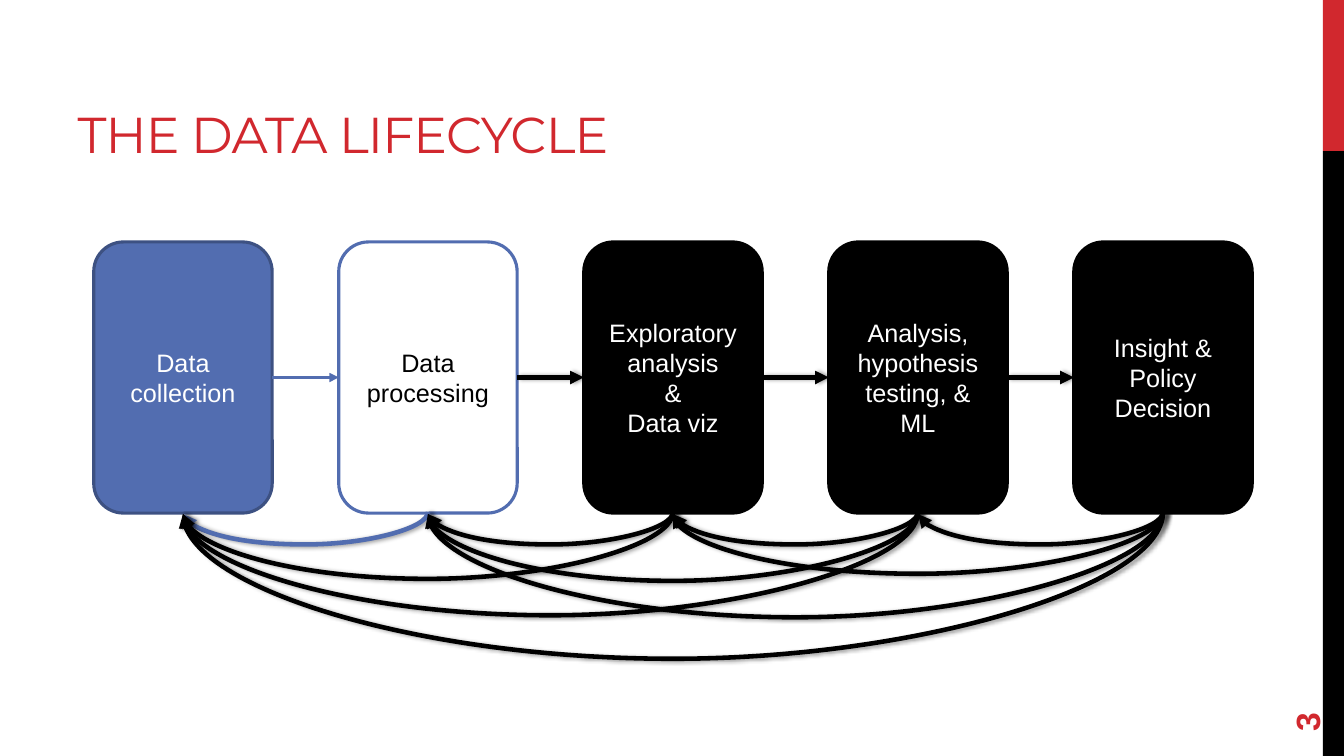
"""Build the data lifecycle slide."""
from dataclasses import dataclass

import lxml.etree
import pptx
import pptx.dml.color
import pptx.enum.shapes
import pptx.enum.text
import pptx.oxml
import pptx.oxml.ns
import pptx.util

Inches = pptx.util.Inches
Pt = pptx.util.Pt
qn = pptx.oxml.ns.qn
Shape = pptx.enum.shapes.MSO_SHAPE
Link = pptx.enum.shapes.MSO_CONNECTOR
Anchor = pptx.enum.text.MSO_ANCHOR
Align = pptx.enum.text.PP_ALIGN

HUES = {"red": "D1282E", "black": "000000", "white": "FFFFFF",
        "blue": "526DB0", "navy": "3D5182"}
LEFT, TOP, WIDE, HIGH, STEP = 0.93, 2.4, 1.77, 2.69, 2.43
BASE, RISE = 5.08, 0.02


@dataclass
class Stage:
    """A step of the cycle."""
    text: str
    fill: str = "black"
    edge: str = "black"
    ink: str = "white"


@dataclass
class Arc:
    """A curve back from one stage to an earlier one."""
    start: int
    end: int
    drop: float = 0.32
    hue: str = "black"


STAGES = [
    Stage("Data collection", "blue", "navy"),
    Stage("Data processing", "white", "blue", "black"),
    Stage("Exploratory analysis\n&\nData viz"),
    Stage("Analysis, hypothesis testing, & ML"),
    Stage("Insight & Policy Decision"),
]
ARCS = [
    Arc(1, 0, hue="blue"),
    Arc(2, 1), Arc(2, 0, 0.66),
    Arc(3, 2), Arc(3, 1, 0.68), Arc(3, 0, 1.02),
    Arc(4, 3), Arc(4, 2, 0.61), Arc(4, 1, 1.04), Arc(4, 0, 1.45),
]


def tint(hue: str) -> pptx.dml.color.RGBColor:
    """Return a named colour."""
    return pptx.dml.color.RGBColor.from_string(HUES[hue])


def style(frame, size: float, hue: str, face: str = "Arial", bold: bool = False, align=Align.LEFT) -> None:
    """Format all text in a frame."""
    frame.word_wrap = True
    for para in frame.paragraphs:
        para.alignment = align
        for run in para.runs:
            run.font.size = Pt(size)
            run.font.name = face
            run.font.bold = bold
            run.font.color.rgb = tint(hue)


def block(slide, kind, box: tuple, fill: str, edge: str = ""):
    """Draw a filled shape, with an outline if an edge hue is given."""
    shape = slide.shapes.add_shape(kind, *map(Inches, box))
    shape.shadow.inherit = False
    shape.fill.solid()
    shape.fill.fore_color.rgb = tint(fill)
    if edge:
        shape.line.color.rgb = tint(edge)
        shape.line.width = Pt(2.25)
    else:
        shape.line.fill.background()
    return shape


def card(slide, index: int, stage: Stage):
    """Draw one stage box."""
    box = (LEFT + index * STEP, TOP, WIDE, HIGH)
    shape = block(slide, Shape.ROUNDED_RECTANGLE, box, stage.fill, stage.edge)
    frame = shape.text_frame
    frame.text = stage.text
    frame.vertical_anchor = Anchor.MIDDLE
    style(frame, 18, stage.ink, align=Align.CENTER)
    return shape


def finish(link, hue: str, width: float, shade: bool = True) -> None:
    """Give a connector its colour, arrowhead and shadow."""
    link.line.color.rgb = tint(hue)
    link.line.width = Pt(width)
    props = link.element.spPr
    line = props.find(qn("a:ln"))
    lxml.etree.SubElement(line, qn("a:tailEnd"), type="triangle")
    glow = lxml.etree.SubElement(props, qn("a:effectLst"))
    if shade:
        cast = lxml.etree.SubElement(
            glow, qn("a:outerShdw"), blurRad=str(Pt(3.1)),
            dist=str(Pt(1.8)), dir="0", rotWithShape="0")
        tone = lxml.etree.SubElement(cast, qn("a:srgbClr"), val=HUES["black"])
        lxml.etree.SubElement(tone, qn("a:alpha"), val="40000")


def join(slide, left, right, first: bool) -> None:
    """Link two neighbouring stages with a straight arrow."""
    link = slide.shapes.add_connector(Link.STRAIGHT, 0, 0, 0, 0)
    link.begin_connect(left, 3)
    link.end_connect(right, 1)
    finish(link, "blue" if first else "black", 2.25 if first else 3.25, not first)


def bend(slide, arc: Arc) -> None:
    """Draw a curved arrow below the stages as a turned connector."""
    span = (arc.start - arc.end) * STEP
    mid = LEFT + WIDE / 2 + (arc.start + arc.end) * STEP / 2
    left, top = mid - RISE / 2, BASE + RISE / 2 - span / 2
    ends = (left, top, left + RISE, top + span)
    link = slide.shapes.add_connector(Link.CURVE, *map(Inches, ends))
    props = link.element.spPr
    props.find(qn("a:xfrm")).set("rot", str(90 * 60000))
    geom = props.find(qn("a:prstGeom"))
    guides = geom.find(qn("a:avLst"))
    if guides is None:
        guides = lxml.etree.SubElement(geom, qn("a:avLst"))
    depth = round(arc.drop / RISE * 100000)
    lxml.etree.SubElement(guides, qn("a:gd"), name="adj1", fmla=f"val {depth}")
    finish(link, arc.hue, 3.25)


def place(shape, box: tuple) -> None:
    """Move and size a shape."""
    shape.left, shape.top, shape.width, shape.height = map(Inches, box)


def main() -> None:
    """Build and save the slide."""
    deck = pptx.Presentation()
    deck.slide_width, deck.slide_height = Inches(13.33), Inches(7.5)
    slide = deck.slides.add_slide(deck.slide_layouts[5])

    block(slide, Shape.RECTANGLE, (13.12, 0, 0.21, 1.5), "red")
    block(slide, Shape.RECTANGLE, (13.12, 1.5, 0.21, 6), "black")

    title = slide.shapes.title
    place(title, (0.67, 0.17, 8.44, 1.5))
    title.text_frame.text = "THE DATA LIFECYCLE"
    title.text_frame.vertical_anchor = Anchor.BOTTOM
    style(title.text_frame, 36, "red", "Montserrat")
    run = title.text_frame.paragraphs[0].runs[0]
    run.font.element.set("spc", "-60") if hasattr(run.font, "element") else run._r.get_or_add_rPr().set("spc", "-60")

    page = slide.shapes.add_textbox(*map(Inches, (12.24, 6.37, 1.44, 0.53)))
    page.rotation = 270
    page.text_frame.text = "3"
    page.text_frame.vertical_anchor = Anchor.MIDDLE
    style(page.text_frame, 24, "red", bold=True)

    cards = [card(slide, index, stage) for index, stage in enumerate(STAGES)]
    for index, (left, right) in enumerate(zip(cards, cards[1:])):
        join(slide, left, right, index == 0)
    for arc in ARCS:
        bend(slide, arc)

    deck.save("out.pptx")


if __name__ == "__main__":
    main()
